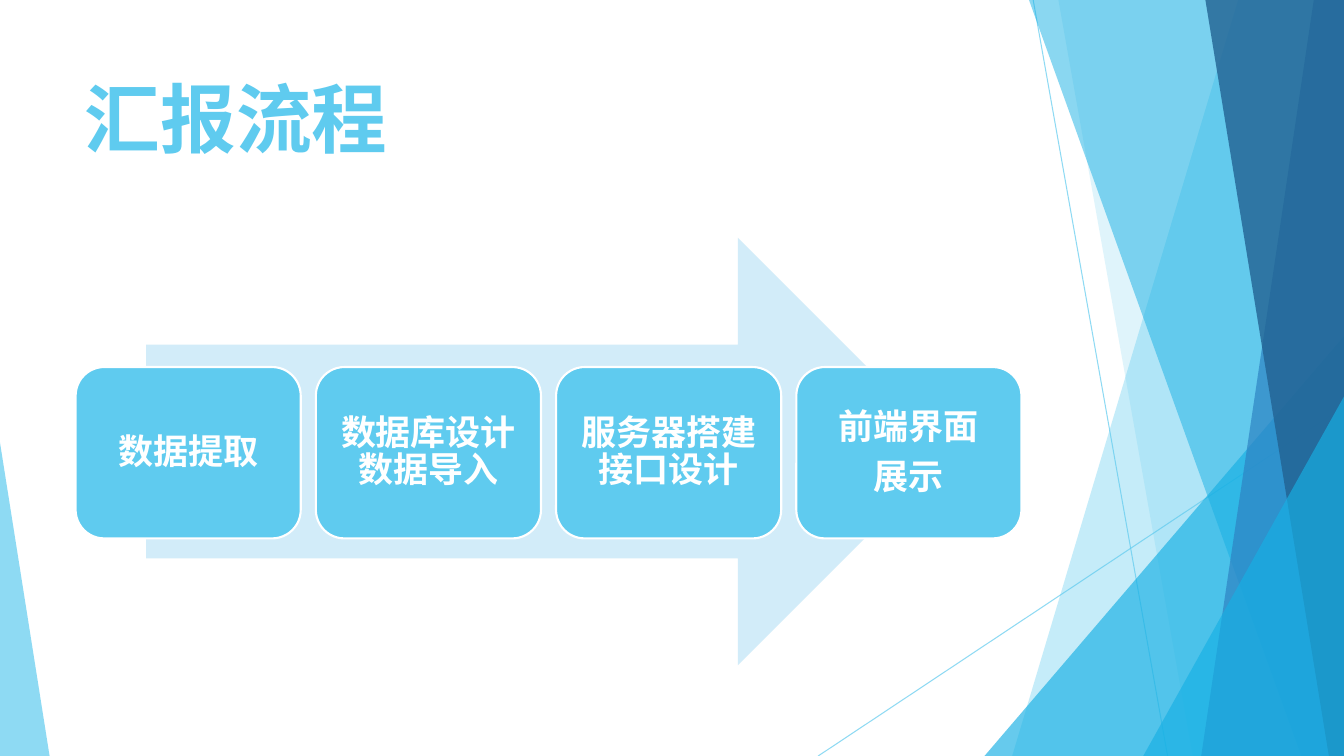
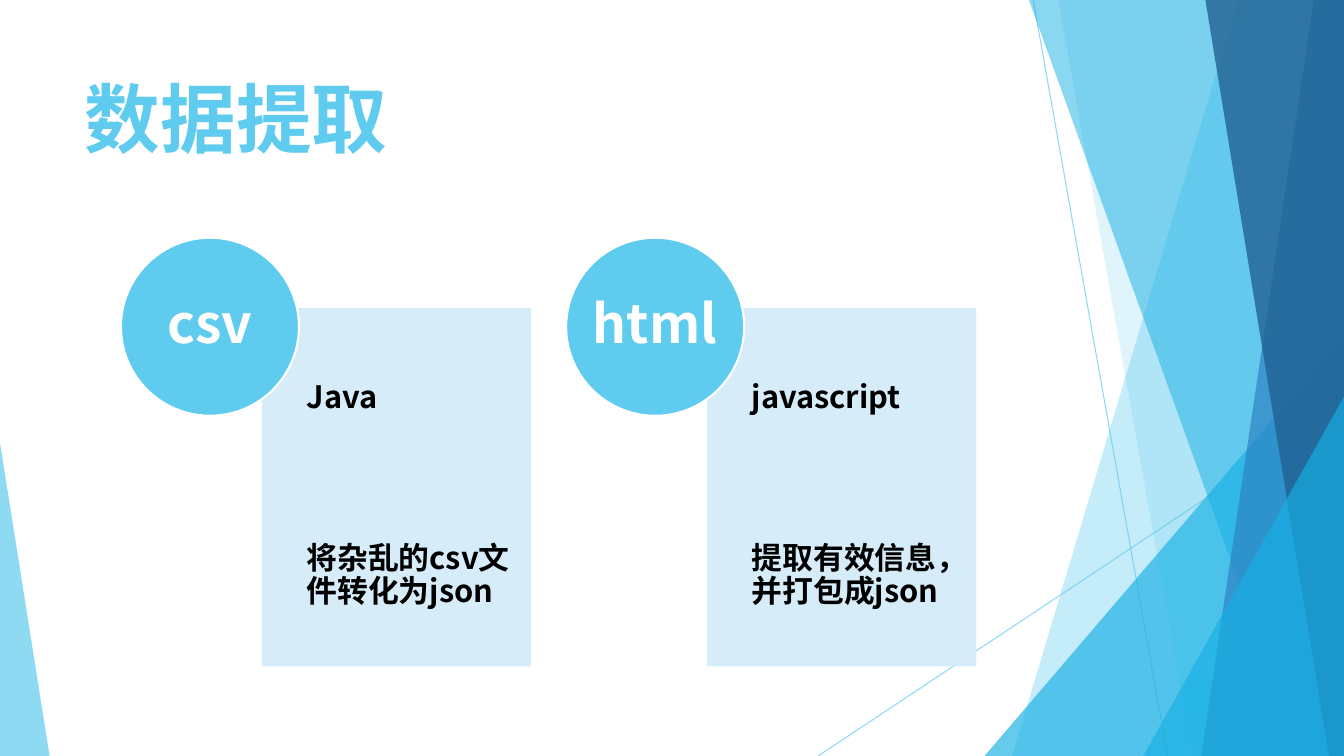
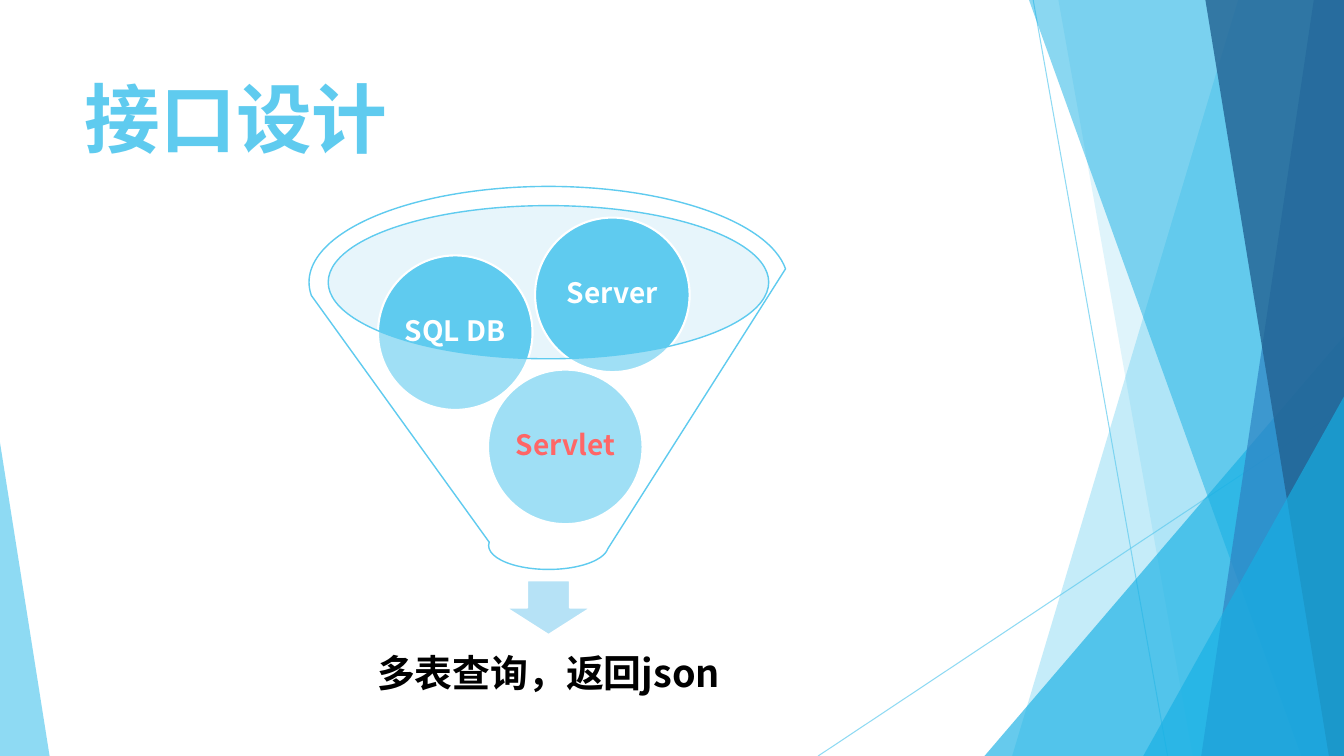
from dataclasses import dataclass

from lxml import etree
from pptx import Presentation
from pptx.dml.color import RGBColor
from pptx.dml.fill import FillFormat
from pptx.enum.shapes import MSO_CONNECTOR, MSO_SHAPE
from pptx.enum.text import MSO_ANCHOR, PP_ALIGN
from pptx.oxml.ns import qn
from pptx.shapes.autoshape import Shape
from pptx.slide import Slide
from pptx.util import Inches, Pt

ARROW, DOWN_ARROW = MSO_SHAPE.RIGHT_ARROW, MSO_SHAPE.DOWN_ARROW
CARD, RECTANGLE, OVAL = MSO_SHAPE.ROUNDED_RECTANGLE, MSO_SHAPE.RECTANGLE, MSO_SHAPE.OVAL
FUNNEL, TRIANGLE = MSO_SHAPE.FUNNEL, MSO_SHAPE.ISOSCELES_TRIANGLE
STRAIGHT = MSO_CONNECTOR.STRAIGHT
LEFT, CENTER = PP_ALIGN.LEFT, PP_ALIGN.CENTER
TOP, MIDDLE = MSO_ANCHOR.TOP, MSO_ANCHOR.MIDDLE

COLUMNS, ROWS = 16, 9
SLIDE_WIDTH, SLIDE_HEIGHT = Inches(13.33), Inches(7.5)
TITLE_FONT, BODY_FONT = "Lato", "Noto Sans CJK SC"
SKY, AZURE, BLUE, NAVY = "5FCBEF", "17B0E4", "2E83C3", "226292"
PALE, WHITE, BLACK, RED = "D2ECF9", "FFFFFF", "000000", "FF0000"


@dataclass(frozen=True)
class Box:
    x: float
    y: float
    width: float
    height: float

    def lengths(self) -> tuple[int, int, int, int]:
        return col(self.x), row(self.y), col(self.width), row(self.height)


@dataclass(frozen=True)
class Paint:
    color: str
    opacity: int = 100


@dataclass(frozen=True)
class Stroke:
    paint: Paint
    points: float


@dataclass(frozen=True)
class TextStyle:
    size: int
    color: str
    margins: tuple[float, float, float, float]
    align: PP_ALIGN = CENTER
    anchor: MSO_ANCHOR = MIDDLE
    font: str = BODY_FONT
    line_spacing: float = 0.9
    space_after: float = 0.35


@dataclass(frozen=True)
class Band:
    top: float
    bottom: float
    paint: Paint


@dataclass(frozen=True)
class Wedge:
    box: Box
    apex: float
    paint: Paint


@dataclass(frozen=True)
class Ball:
    text: str
    x: float
    y: float
    color: str = WHITE


WHITE_EDGE = Stroke(Paint(WHITE), 1.5)
THIN_RAY = Stroke(Paint(SKY, 70), 0.75)
RAYS = ((12.3, 0, 13.9, 9), (16, 4.84, 9.74, 9))
FACETS = (
    Band(14.74, 12.05, Paint(SKY, 36)),
    Band(12.6, 14.2, Paint(SKY, 20)),
    Wedge(Box(11.72, 4, 4.28, 5), 1, Paint(AZURE, 66)),
    Band(12.25, 15.49, Paint(AZURE, 50)),
    Band(15.64, 14.3, Paint(BLUE, 70)),
    Band(14.35, 15.82, Paint(NAVY, 80)),
    Wedge(Box(13.61, 4.72, 2.39, 4.28), 1, Paint(AZURE, 66)),
    Wedge(Box(0, 5.27, 0.59, 3.73), 0, Paint(SKY, 70)),
)

TITLE_BOX = Box(0.89, 0.8, 11.28, 1.73)
TITLE = TextStyle(54, SKY, (0.12, 0.06, 0.12, 0.06), LEFT, TOP, TITLE_FONT, 1, 0)
STEP = TextStyle(25, WHITE, (0.12,) * 4)
FORMAT = TextStyle(38, WHITE, (0,) * 4)
DETAIL = TextStyle(22, BLACK, (0.52, 0.2, 0.2, 0.2), LEFT)
RESULT = TextStyle(27, BLACK, (0.25,) * 4)


def col(count: float) -> int:
    return round(SLIDE_WIDTH * count / COLUMNS)


def row(count: float) -> int:
    return round(SLIDE_HEIGHT * count / ROWS)


def rgb(color: str) -> RGBColor:
    return RGBColor.from_string(color)


def apply_paint(fill: FillFormat, paint: Paint) -> None:
    fill.solid()
    fill.fore_color.rgb = rgb(paint.color)
    if paint.opacity < 100:
        color = fill._xPr.find(qn("a:solidFill"))[0]
        etree.SubElement(color, qn("a:alpha")).set("val", str(paint.opacity * 1000))


def finish(shape: Shape, paint: Paint, stroke: Stroke | None = None) -> Shape:
    shape.shadow.inherit = False
    apply_paint(shape.fill, paint)
    if stroke:
        apply_paint(shape.line.fill, stroke.paint)
        shape.line.width = Pt(stroke.points)
    else:
        shape.line.fill.background()
    return shape


def add_figure(page: Slide, kind: MSO_SHAPE, box: Box, paint: Paint,
               stroke: Stroke | None = None) -> Shape:
    return finish(page.shapes.add_shape(kind, *box.lengths()), paint, stroke)


def write(shape: Shape, text: str, style: TextStyle) -> None:
    frame = shape.text_frame
    frame.word_wrap = True
    frame.vertical_anchor = style.anchor
    left, top, right, bottom = style.margins
    frame.margin_left, frame.margin_right = col(left), col(right)
    frame.margin_top, frame.margin_bottom = row(top), row(bottom)
    frame.text = text
    for para in frame.paragraphs:
        para.alignment = style.align
        para.line_spacing = style.line_spacing
        para.space_after = Pt(style.size * style.space_after)
        para.font.name = style.font
        para.font.size = Pt(style.size)
        para.font.bold = True
        para.font.color.rgb = rgb(style.color)
        for span in para.runs:
            properties = span._r.get_or_add_rPr()
            etree.SubElement(properties, qn("a:ea")).set("typeface", style.font)


def add_text(page: Slide, box: Box, text: str, style: TextStyle) -> None:
    write(page.shapes.add_textbox(*box.lengths()), text, style)


def add_ray(page: Slide, x1: float, y1: float, x2: float, y2: float) -> None:
    ray = page.shapes.add_connector(STRAIGHT, col(x1), row(y1), col(x2), row(y2))
    apply_paint(ray.line.fill, THIN_RAY.paint)
    ray.line.width = Pt(THIN_RAY.points)
    etree.SubElement(ray._element.spPr, qn("a:effectLst"))


def add_band(page: Slide, band: Band) -> None:
    outline = page.shapes.build_freeform(col(band.top), 0)
    corners = ((COLUMNS, 0), (COLUMNS, ROWS), (band.bottom, ROWS))
    outline.add_line_segments([(col(x), row(y)) for x, y in corners], close=True)
    finish(outline.convert_to_shape(), band.paint)


def add_wedge(page: Slide, wedge: Wedge) -> None:
    triangle = add_figure(page, TRIANGLE, wedge.box, wedge.paint)
    triangle.adjustments[0] = wedge.apex


def add_page(deck: Presentation, title: str) -> Slide:
    page = deck.slides.add_slide(deck.slide_layouts[6])
    for ray in RAYS:
        add_ray(page, *ray)
    for facet in FACETS:
        if isinstance(facet, Band):
            add_band(page, facet)
        else:
            add_wedge(page, facet)
    add_text(page, TITLE_BOX, title, TITLE)
    return page


def build_process(deck: Presentation) -> None:
    page = add_page(deck, "汇报流程")
    add_figure(page, ARROW, Box(1.74, 2.83, 9.59, 5.09), Paint(PALE))
    steps = ("数据提取", "数据库设计数据导入", "服务器搭建接口设计", "前端界面\n展示")
    for index, step in enumerate(steps):
        box = Box(0.9 + 2.86 * index, 4.37, 2.68, 2.04)
        write(add_figure(page, CARD, box, Paint(SKY), WHITE_EDGE), step, STEP)


def build_extraction(deck: Presentation) -> None:
    page = add_page(deck, "数据提取")
    panel = Paint(PALE, 90)
    size = 2.12
    sources = (
        ("csv", ("Java", "将杂乱的csv文件转化为json")),
        ("html", ("javascript", "提取有效信息，并打包成json")),
    )
    for index, (name, details) in enumerate(sources):
        left = 1.44 + 5.3 * index
        for level, detail in enumerate(details):
            box = Box(left + 1.69, 3.68 + size * level, 3.18, size)
            cell = add_figure(page, RECTANGLE, box, panel, Stroke(panel, 1.5))
            write(cell, detail, DETAIL)
        badge = add_figure(page, OVAL, Box(left, 2.83, size, size), Paint(SKY), WHITE_EDGE)
        write(badge, name, FORMAT)


def build_interface(deck: Presentation) -> None:
    page = add_page(deck, "接口设计")
    add_figure(page, OVAL, Box(3.9, 2.45, 5.26, 1.82), Paint("C5E7F7", 40))
    add_figure(page, DOWN_ARROW, Box(6.02, 6.91, 1.02, 0.65), Paint("B6E2F6"), WHITE_EDGE)
    add_text(page, Box(4.09, 7.43, 4.88, 1.22), "多表查询，返回json", RESULT)
    balls = (
        Ball("Servlet", 5.81, 4.4, RED),
        Ball("SQL DB", 4.5, 3.04),
        Ball("Server", 6.37, 2.59),
    )
    for ball in balls:
        circle = add_figure(page, OVAL, Box(ball.x, ball.y, 1.84, 1.84), Paint(SKY), WHITE_EDGE)
        write(circle, ball.text, TextStyle(20, ball.color, (0.04,) * 4))
    add_figure(page, FUNNEL, Box(3.68, 2.22, 5.7, 4.56), Paint(WHITE, 40), Stroke(Paint(SKY), 1))


def main() -> None:
    deck = Presentation()
    deck.slide_width, deck.slide_height = SLIDE_WIDTH, SLIDE_HEIGHT
    build_process(deck)
    build_extraction(deck)
    build_interface(deck)
    deck.save("out.pptx")


main()
